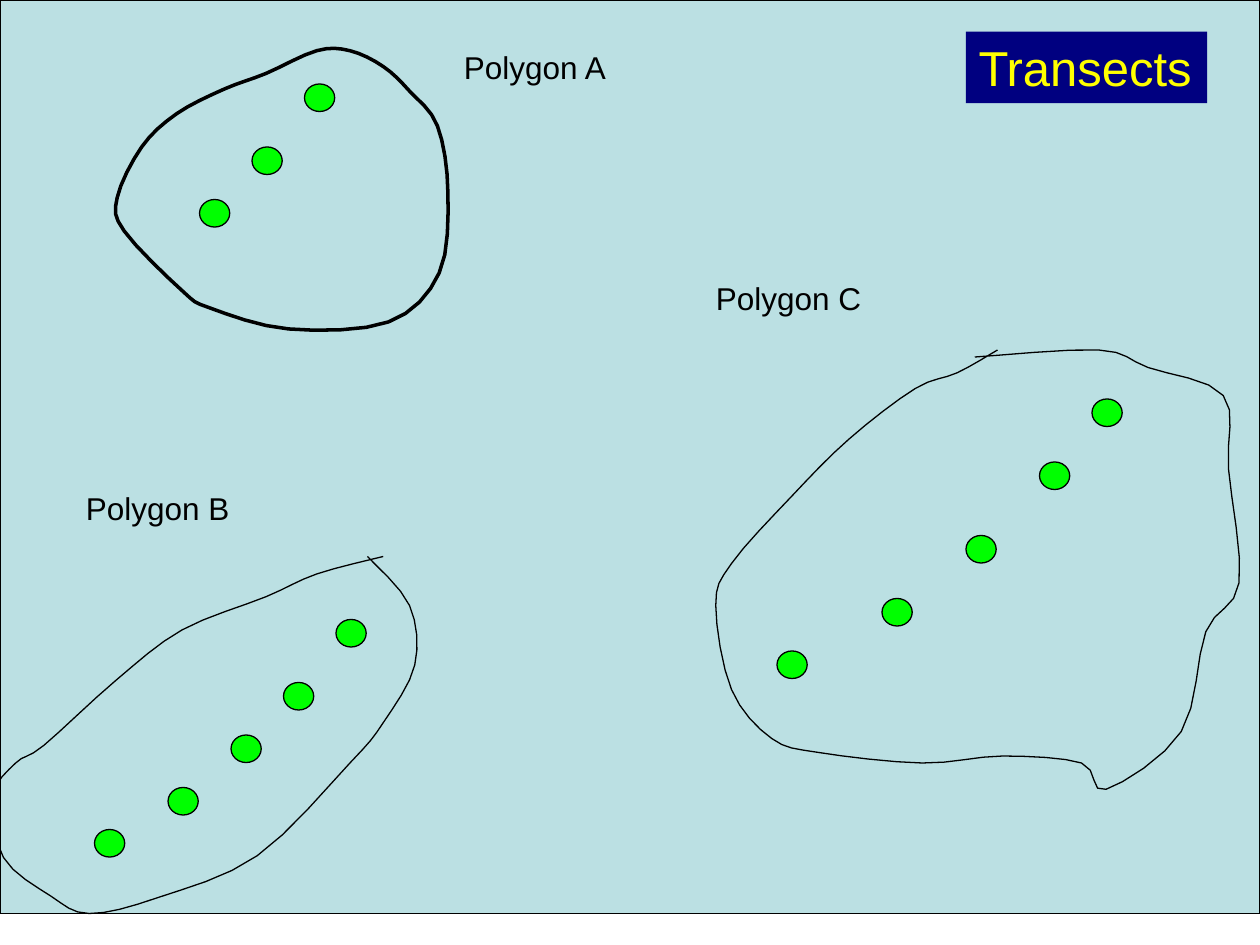
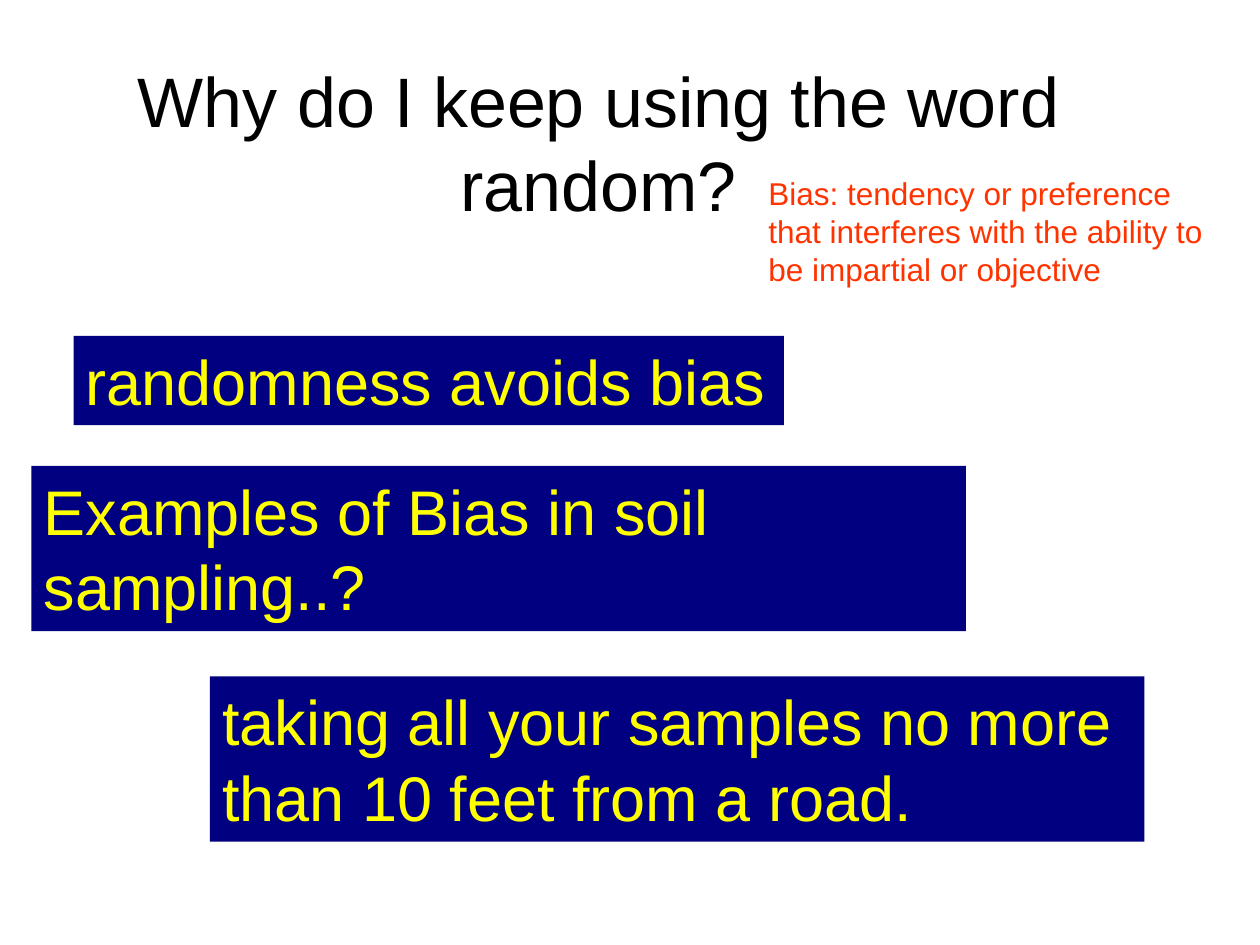
"""Build two slides on transect sampling and on bias in soil sampling."""
from dataclasses import dataclass

from pptx import Presentation
from pptx.dml.color import RGBColor
from pptx.enum.shapes import MSO_SHAPE
from pptx.enum.text import MSO_ANCHOR, MSO_AUTO_SIZE, PP_ALIGN
from pptx.util import Pt


@dataclass(frozen=True)
class Theme:
    font: str = "Arial"
    ink: RGBColor = RGBColor.from_string("000000")
    paper: RGBColor = RGBColor.from_string("FFFFFF")
    field: RGBColor = RGBColor.from_string("BBE0E3")
    navy: RGBColor = RGBColor.from_string("000080")
    yellow: RGBColor = RGBColor.from_string("FFFF00")
    green: RGBColor = RGBColor.from_string("00FF00")
    red: RGBColor = RGBColor.from_string("FF3300")
    title: int = 40
    panel: int = 36
    heading: int = 28
    note: int = 18
    hairline: float = 0.75
    outline: float = 2


theme = Theme()


def write(sp, text, size, color, fill=None, align=PP_ALIGN.LEFT, anchor=MSO_ANCHOR.TOP):
    """Put styled text in a shape, on a plain fill if one is given."""
    if fill is not None:
        sp.fill.solid()
        sp.fill.fore_color.rgb = fill
        sp.line.fill.background()
    tf = sp.text_frame
    tf.text = text
    tf.word_wrap = True
    tf.auto_size = MSO_AUTO_SIZE.NONE
    tf.vertical_anchor = anchor
    p = tf.paragraphs[0]
    p.alignment = align
    font = p.runs[0].font
    font.name, font.size, font.color.rgb = theme.font, Pt(size), color


def draw(sp, fill=None, width=theme.hairline):
    """Give a shape an ink line and a solid fill or none."""
    sp.shadow.inherit = False
    if fill is None:
        sp.fill.background()
    else:
        sp.fill.solid()
        sp.fill.fore_color.rgb = fill
    sp.line.color.rgb = theme.ink
    sp.line.width = Pt(width)


prs = Presentation()
prs.slide_width, prs.slide_height = Pt(720), Pt(540)
title_only = prs.slide_layouts[5]

slide = prs.slides.add_slide(title_only)
shapes = slide.shapes
field = shapes.add_shape(MSO_SHAPE.RECTANGLE, 0, 0, Pt(720), Pt(522))
draw(field, theme.field)

title = shapes.title
field._element.addnext(title._element)
title.left, title.top, title.width, title.height = Pt(552), Pt(18), Pt(137.75), Pt(41)
write(title, "Transects", theme.heading, theme.yellow, theme.navy)

polygons = [
    ("Polygon A", (258, 24), theme.outline, True,
     [(174, 48), (144, 84), (114, 114)],
     [(181, 29), (152, 42), (128, 51), (101, 65), (81, 84), (67, 113), (71, 132),
      (104, 166), (120, 176), (165, 188), (222, 184), (251, 156), (256, 110),
      (250, 72), (234, 52), (219, 38), (200, 29)]),
    ("Polygon B", (42, 276), theme.hairline, False,
     [(192, 354), (162, 390), (132, 420), (96, 450), (54, 474)],
     [(219, 318), (181, 328), (152, 341), (104, 360), (66, 389), (25, 426),
      (9, 436), (-4, 455), (2, 490), (29, 512), (51, 522), (90, 513), (147, 489),
      (200, 436), (219, 413), (237, 380), (234, 346), (210, 318)]),
    ("Polygon C", (402, 156), theme.hairline, False,
     [(624, 228), (594, 264), (552, 306), (504, 342), (444, 372)],
     [(570, 200), (547, 213), (523, 222), (485, 251), (452, 284), (418, 322),
      (409, 346), (418, 394), (441, 422), (468, 430), (527, 436), (573, 432),
      (618, 436), (632, 451), (675, 418), (689, 361), (708, 333), (702, 268),
      (699, 226), (656, 210), (628, 200), (557, 204)]),
]

steps = 4
for name, (label_x, label_y), width, closed, samples, outline in polygons:
    if closed:
        track = outline[-1:] + outline + outline[:2]
    else:
        track = outline[:1] + outline + outline[-1:]
    curve = []
    for corners in zip(track, track[1:], track[2:], track[3:]):
        for step in range(1, steps + 1):
            t = step / steps
            curve.append([
                Pt(b + t * (c - a + t * (2 * a - 5 * b + 4 * c - d
                                         + t * (3 * (b - c) + d - a))) / 2)
                for a, b, c, d in zip(*corners)
            ])
    builder = shapes.build_freeform(*[Pt(v) for v in outline[0]])
    builder.add_line_segments(curve, close=closed)
    draw(builder.convert_to_shape(), width=width)

    for x, y in samples:
        sample = shapes.add_shape(MSO_SHAPE.OVAL, Pt(x), Pt(y), Pt(17.25), Pt(15.75))
        draw(sample, theme.green)

    label = shapes.add_textbox(Pt(label_x), Pt(label_y), Pt(162), Pt(46))
    write(label, name, theme.note, theme.ink)

slide = prs.slides.add_slide(title_only)
title = slide.shapes.title
title.left, title.top, title.width, title.height = Pt(18), Pt(36), Pt(648), Pt(90)
write(title, "Why do I keep using the word random?", theme.title, theme.ink,
      align=PP_ALIGN.CENTER, anchor=MSO_ANCHOR.MIDDLE)

panels = [
    ("randomness avoids bias", (42, 192, 406, 51), theme.panel, theme.yellow, theme.navy),
    ("Bias: tendency or preference that interferes with the ability to be impartial or objective",
     (432, 96, 270, 73), theme.note, theme.red, theme.paper),
    ("Examples of Bias in soil sampling..?",
     (18, 266.25, 534, 94.5), theme.panel, theme.yellow, theme.navy),
    ("taking all your samples no more than 10 feet from a road.",
     (120, 386.5, 534, 94.5), theme.panel, theme.yellow, theme.navy),
]
for text, box, size, color, fill in panels:
    sp = slide.shapes.add_shape(MSO_SHAPE.RECTANGLE, *[Pt(v) for v in box])
    sp.shadow.inherit = False
    write(sp, text, size, color, fill)

prs.save("out.pptx")
